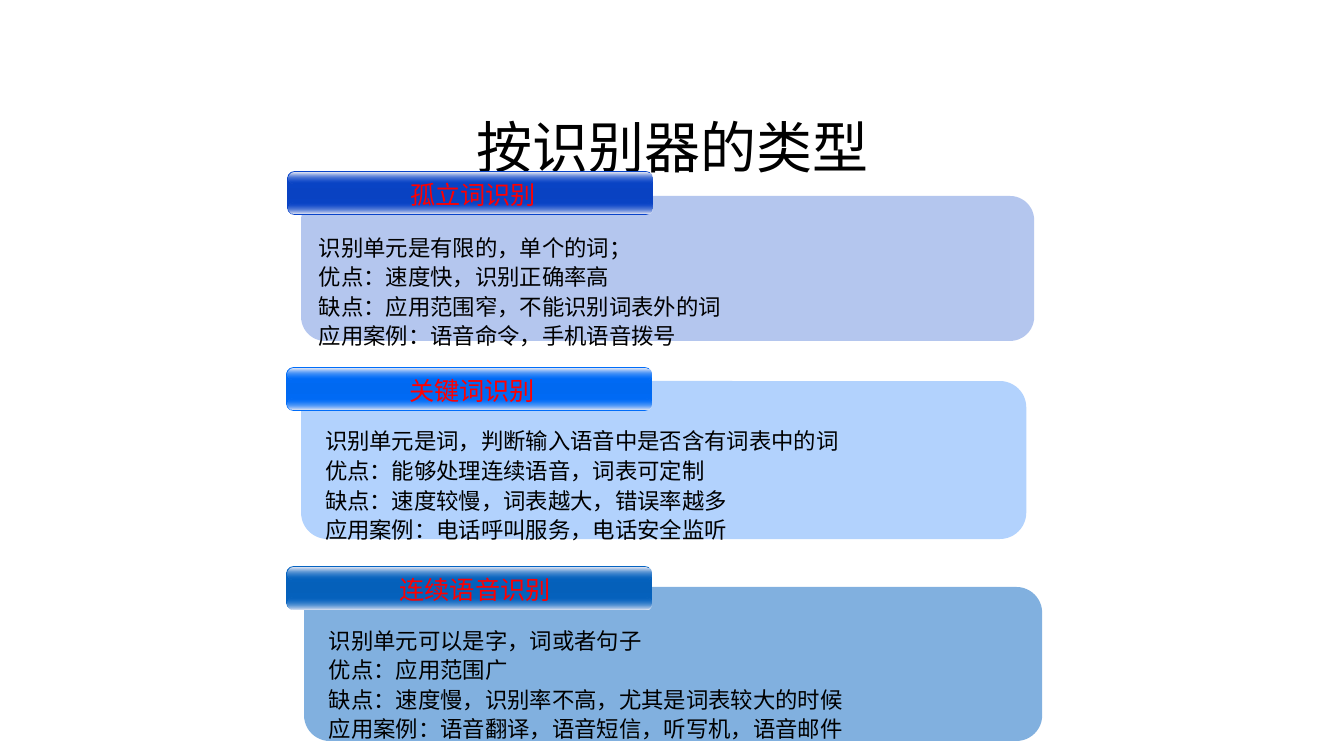
import pptx
import pptx.dml.color
import pptx.enum.shapes
import pptx.enum.text
import pptx.oxml
import pptx.oxml.ns
import pptx.util
from lxml import etree

RGBColor = pptx.dml.color.RGBColor
ALIGN = pptx.enum.text.PP_ALIGN
ANCHOR = pptx.enum.text.MSO_ANCHOR
qn = pptx.oxml.ns.qn

BLACK = RGBColor(0x00, 0x00, 0x00)
RED = RGBColor(0xFF, 0x00, 0x00)
ROYAL = RGBColor(0x09, 0x44, 0xC9)
ROYAL_MID = RGBColor(0x09, 0x42, 0xC2)
AZURE = RGBColor(0x00, 0x6D, 0xFA)
AZURE_MID = RGBColor(0x00, 0x69, 0xF1)
STEEL = RGBColor(0x05, 0x63, 0xC1)
STEEL_MID = RGBColor(0x05, 0x60, 0xBA)
SHINE = RGBColor(0xE7, 0xE9, 0xF5)

BANNER_W, BANNER_H = 366, 44
GLOSS_H = 11
BODY_W, BODY_H = 637, 129


class Deck:
    font = "Noto Sans CJK SC"
    scale = 914400 / 100.8  # EMU per px

    def __init__(self):
        self.prs = pptx.Presentation()
        self.prs.slide_width = pptx.util.Inches(13.33)
        self.prs.slide_height = pptx.util.Inches(7.5)
        self.s = self.prs.slides.add_slide(self.prs.slide_layouts[6])

    def px(self, *lengths):
        return [pptx.util.Emu(round(n * self.scale)) for n in lengths]

    def round_rect(self, x, y, w, h, radius):
        kind = pptx.enum.shapes.MSO_SHAPE.ROUNDED_RECTANGLE
        sp = self.s.shapes.add_shape(kind, *self.px(x, y, w, h))
        sp.adjustments[0] = radius
        sp.shadow.inherit = False
        sp.line.fill.background()
        return sp

    def set_alpha(self, color, percent):
        etree.SubElement(color, qn("a:alpha"), val=str(percent * 1000))

    def panel(self, x, y, w, h, color, opacity):
        sp = self.round_rect(x, y, w, h, 0.167)
        sp.fill.solid()
        sp.fill.fore_color.rgb = color
        self.set_alpha(sp.fill._xPr.find(".//" + qn("a:srgbClr")), opacity)

    def gradient_bar(self, x, y, w, h, radius, stops):
        """Stops are (position, colour, opacity), from top to bottom."""
        sp = self.round_rect(x, y, w, h, radius)
        sp.fill.gradient()
        grad = sp.fill._xPr.find(qn("a:gradFill"))
        for child in list(grad):
            grad.remove(child)
        stop_list = etree.SubElement(grad, qn("a:gsLst"))
        for position, color, opacity in stops:
            gs = etree.SubElement(stop_list, qn("a:gs"), pos=str(position * 1000))
            clr = etree.SubElement(gs, qn("a:srgbClr"), val=str(color))
            if opacity < 100:
                self.set_alpha(clr, opacity)
        etree.SubElement(grad, qn("a:lin"), ang="5400000", scaled="0")

    def text(self, x, y, w, h, lines, size, color,
             align=ALIGN.LEFT, anchor=ANCHOR.TOP, spacing=1.0):
        tf = self.s.shapes.add_textbox(*self.px(x, y, w, h)).text_frame
        tf.word_wrap = True
        tf.vertical_anchor = anchor
        for i, line in enumerate(lines):
            p = tf.add_paragraph() if i else tf.paragraphs[0]
            p.alignment = align
            p.line_spacing = spacing
            r = p.add_run()
            r.text = line
            r.font.size = pptx.util.Pt(size)
            r.font.name = self.font
            r.font.color.rgb = color
            ea = etree.SubElement(r.font._element, qn("a:ea"))
            ea.set("typeface", self.font)

    def banner(self, x, y, label, label_dx, color, middle):
        self.gradient_bar(x, y, BANNER_W, BANNER_H, 0.175,
                          [(0, color, 100), (50, middle, 100), (100, color, 100)])
        # Glossy edges at the bottom and the top
        gloss_w = BANNER_W - 2
        self.gradient_bar(x + 1, y + 32, gloss_w, GLOSS_H, 0.5,
                          [(0, color, 0), (100, SHINE, 100)])
        self.gradient_bar(x + 1, y + 2, gloss_w, GLOSS_H, 0.5,
                          [(0, SHINE, 100), (100, color, 0)])
        self.text(x + label_dx, y + 3, BANNER_W, 40, [label], 18, RED, ALIGN.CENTER)


# Label, its shift, colours, opacity, panel box, banner corner, body corner, lines
RECOGNIZERS = [
    ("孤立词识别", 3, ROYAL, ROYAL_MID, 30,
     (301, 196, 733, 145), (287, 171), (309, 226),
     ["识别单元是有限的，单个的词；",
      "优点：速度快，识别正确率高",
      "缺点：应用范围窄，不能识别词表外的词",
      "应用案例：语音命令，手机语音拨号"]),
    ("关键词识别", 3, AZURE, AZURE_MID, 30,
     (301, 381, 725, 158), (286, 367), (315, 420),
     ["识别单元是词，判断输入语音中是否含有词表中的词",
      "优点：能够处理连续语音，词表可定制",
      "缺点：速度较慢，词表越大，错误率越多",
      "应用案例：电话呼叫服务，电话安全监听"]),
    ("连续语音识别", 6, STEEL, STEEL_MID, 50,
     (304, 587, 738, 154), (286, 566), (319, 619),
     ["识别单元可以是字，词或者句子",
      "优点：应用范围广",
      "缺点：速度慢，识别率不高，尤其是词表较大的时候",
      "应用案例：语音翻译，语音短信，听写机，语音邮件"]),
]


def main():
    deck = Deck()

    # Title
    deck.text(93, 40, 1159, 146, ["按识别器的类型"], 40, BLACK,
              ALIGN.CENTER, ANCHOR.BOTTOM, 0.9)

    # One panel with a banner for each recognizer type
    for label, dx, color, middle, opacity, box, corner, body, lines in RECOGNIZERS:
        deck.panel(*box, color, opacity)
        deck.banner(*corner, label, dx, color, middle)
        deck.text(*body, BODY_W, BODY_H, lines, 16, BLACK, spacing=1.1)

    deck.prs.save("out.pptx")


if __name__ == "__main__":
    main()
